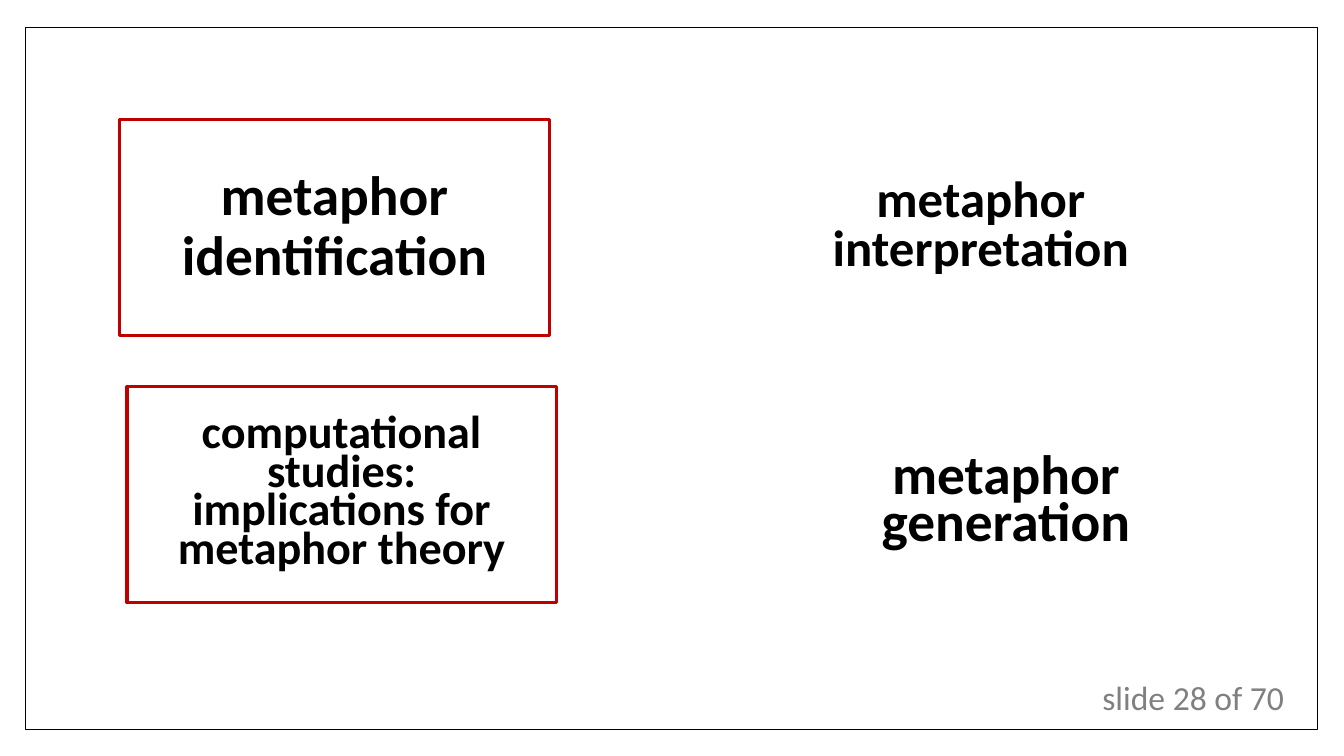
from pptx import Presentation
from pptx.dml.color import RGBColor
from pptx.enum.shapes import MSO_SHAPE
from pptx.enum.text import MSO_ANCHOR, PP_ALIGN
from pptx.util import Cm, Pt

BLACK, WHITE, RED, GREY = "000000", "FFFFFF", "C00000", "808080"
TOPIC_WIDTH, TOPIC_HEIGHT = 8.74, 2.84
HIGHLIGHT_WIDTH, HIGHLIGHT_HEIGHT = 10.82, 5.44


def color(hex_string):
    return RGBColor.from_string(hex_string)


def write_text(shape, text, size, hex_color=BLACK, bold=False, align=PP_ALIGN.LEFT,
               anchor=MSO_ANCHOR.TOP, spacing=1.0, wrap=True):
    frame = shape.text_frame
    frame.word_wrap = wrap
    frame.vertical_anchor = anchor
    paragraph = frame.paragraphs[0]
    paragraph.alignment = align
    paragraph.line_spacing = spacing
    run = paragraph.add_run()
    run.text = text
    run.font.name = "Calibri"
    run.font.size = Pt(size)
    run.font.bold = bold
    run.font.color.rgb = color(hex_color)


def add_rectangle(slide, box, line, line_width, fill=None):
    shape = slide.shapes.add_shape(MSO_SHAPE.RECTANGLE, *map(Cm, box))
    shape.shadow.inherit = False
    if fill:
        shape.fill.solid()
        shape.fill.fore_color.rgb = color(fill)
    else:
        shape.fill.background()
    shape.line.color.rgb = color(line)
    shape.line.width = Pt(line_width)
    return shape


def add_page_frame(slide, box):
    """Draw the page border behind the title, with the slide count at its lower right."""
    left, top, width, height = box
    border = add_rectangle(slide, box, BLACK, 1, fill=WHITE)
    slide.shapes.title.element.addprevious(border.element)
    count_box = (left + width - 5.67, top + height - 1.45, 5.61, 1.27)
    count = slide.shapes.add_textbox(*map(Cm, count_box))
    write_text(count, "slide 28 of 70", 24, hex_color=GREY, wrap=False)


def add_topic(slide, box, text, size, spacing, shape=None):
    """Place a centred topic in the box, in the given shape or a new text box."""
    left, top, width, height = map(Cm, box)
    if shape is None:
        shape = slide.shapes.add_textbox(left, top, width, height)
    else:
        shape.left, shape.top, shape.width, shape.height = left, top, width, height
    write_text(shape, text, size, bold=True, align=PP_ALIGN.CENTER,
               anchor=MSO_ANCHOR.MIDDLE, spacing=spacing)


def add_highlighted_topic(slide, box, inset, text, size, spacing, shape=None):
    """Place a topic inside a red outline; inset is its horizontal and vertical margin."""
    left, top, width, height = box
    across, down = inset
    topic_box = (left + across, top + down, width - 2 * across, height - 2 * down)
    add_topic(slide, topic_box, text, size, spacing, shape)
    add_rectangle(slide, box, RED, 2.25)


def build_overview_slide(presentation):
    slide = presentation.slides.add_slide(presentation.slide_layouts[5])
    add_page_frame(slide, (0.64, 0.69, 32.56, 17.7))
    add_highlighted_topic(slide, (3.02, 3.02, HIGHLIGHT_WIDTH, HIGHLIGHT_HEIGHT),
                          (1.04, 1.3), "metaphor identification", 39.6, 0.9,
                          shape=slide.shapes.title)
    add_topic(slide, (20.35, 4.32, TOPIC_WIDTH, TOPIC_HEIGHT),
              "metaphor interpretation", 36.3, 0.8)
    add_topic(slide, (20.98, 11.28, TOPIC_WIDTH, TOPIC_HEIGHT),
              "metaphor generation", 39.6, 0.7)
    add_highlighted_topic(slide, (3.2, 9.75, HIGHLIGHT_WIDTH, HIGHLIGHT_HEIGHT),
                          (0.55, 0.23),
                          "computational studies: implications for metaphor theory",
                          33, 0.7)


def main():
    presentation = Presentation()
    presentation.slide_width = Cm(33.87)
    presentation.slide_height = Cm(19.05)
    build_overview_slide(presentation)
    presentation.save("out.pptx")


if __name__ == "__main__":
    main()
